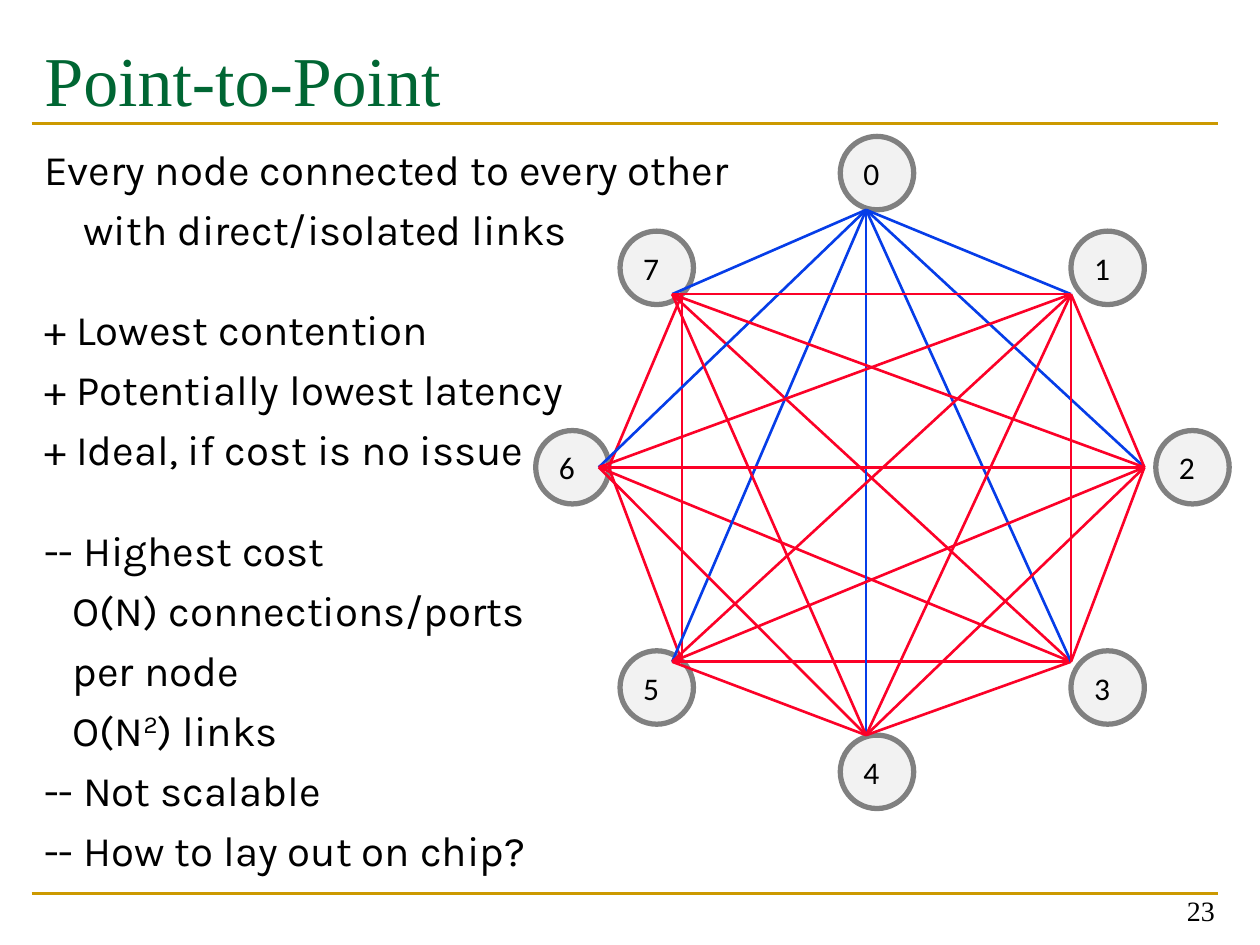
from lxml import etree
from pptx import Presentation
from pptx.dml.color import RGBColor
from pptx.enum import shapes, text
from pptx.oxml import ns
from pptx.util import Cm, Pt

GREEN = RGBColor(0x00, 0x66, 0x33)
GOLD = RGBColor(0xCC, 0x99, 0x00)
BLACK = RGBColor(0x00, 0x00, 0x00)
PALE = RGBColor(0xF2, 0xF2, 0xF2)
GRAY = RGBColor(0x80, 0x80, 0x80)
RED = RGBColor(0xFC, 0x01, 0x28)
BLUE = RGBColor(0x06, 0x3D, 0xE8)

TITLE = "Point-to-Point"
PAGE = "23"
NEAR, FAR = 5.5, 28.5
BODY = [
    (["Every node connected to every other"], 0, NEAR),
    (["with direct/isolated links"], 0.79, NEAR),
    (["+ Lowest contention"], 0, FAR),
    (["+ Potentially lowest latency"], 0, NEAR),
    (["+ Ideal, if cost is no issue"], 0, NEAR),
    (["-- Highest cost"], 0, FAR),
    (["O(N) connections/ports"], 0.58, NEAR),
    (["per node"], 0.58, NEAR),
    (["O(N", "2", ") links"], 0.58, NEAR),
    (["-- Not scalable"], 0, NEAR),
    (["-- How to lay out on chip?"], 0, NEAR),
]
RULES = [2.49, 18.01]
SIZE = 1.48
NODES = [(16.94, 2.75), (21.59, 4.66), (23.3, 8.68), (21.59, 13.12),
         (16.94, 14.82), (12.5, 13.12), (10.8, 8.68), (12.5, 4.66)]
ENDS = [(17.46, 4.23), (21.59, 5.93), (23.07, 9.42), (21.59, 13.34),
        (17.46, 14.82), (13.55, 13.34), (12.07, 9.42), (13.55, 5.93)]
SHIFT = 0.2
SIDE = [(5, 6), (5, 7), (6, 7)]
HUBS = {3: [5, 6, 7, 4], 0: [5, 1, 6, 7, 4, 3, 2],
        1: [5, 6, 4, 2, 7, 3], 2: [5, 6, 3, 7, 4], 4: [5, 6, 7]}


def style(para, font, size, color):
    for run in para.runs:
        run.font.name = font
        run.font.size = Pt(size)
        run.font.color.rgb = color


def line(slide, start, end, color):
    link = slide.shapes.add_connector(
        shapes.MSO_CONNECTOR.STRAIGHT, *map(Cm, start + end))
    link.line.color.rgb = color
    link.line.width = Pt(1.5)
    etree.SubElement(link.element.spPr, ns.qn("a:effectLst"))


def head(slide):
    title = slide.shapes.title
    title.left, title.top, title.width, title.height = map(
        Cm, (0.64, 0.43, 23.93, 2.06))
    frame = title.text_frame
    frame.text = TITLE
    frame.vertical_anchor = text.MSO_ANCHOR.TOP
    frame.margin_top = Cm(0.3)
    para = frame.paragraphs[0]
    para.alignment = text.PP_ALIGN.LEFT
    style(para, "Times New Roman", 40, GREEN)


def body(slide):
    box = slide.shapes.add_textbox(*map(Cm, (0.64, 2.77, 23.93, 14.43)))
    frame = box.text_frame
    frame.word_wrap = True
    for i, (parts, indent, gap) in enumerate(BODY):
        para = frame.add_paragraph() if i else frame.paragraphs[0]
        para.space_before = Pt(gap)
        para._p.get_or_add_pPr().set("marL", str(Cm(indent)))
        for part in parts:
            para.add_run().text = part
        style(para, "Karla", 24, BLACK)
        if len(parts) > 1:
            para.runs[1].font._element.set("baseline", "30000")


def foot(slide):
    box = slide.shapes.add_textbox(*map(Cm, (18.82, 17.55, 5.92, 1.27)))
    frame = box.text_frame
    frame.word_wrap = True
    frame.vertical_anchor = text.MSO_ANCHOR.BOTTOM
    frame.text = PAGE
    para = frame.paragraphs[0]
    para.alignment = text.PP_ALIGN.RIGHT
    style(para, "Times New Roman", 16, BLACK)


def node(slide, name, spot):
    disc = slide.shapes.add_shape(
        shapes.MSO_SHAPE.OVAL, *map(Cm, spot + (SIZE, SIZE)))
    disc.shadow.inherit = False
    disc.fill.solid()
    disc.fill.fore_color.rgb = PALE
    disc.line.color.rgb = GRAY
    disc.line.width = Pt(3)
    frame = disc.text_frame
    frame.word_wrap = False
    frame.vertical_anchor = text.MSO_ANCHOR.MIDDLE
    frame.text = name
    para = frame.paragraphs[0]
    para.alignment = text.PP_ALIGN.LEFT
    style(para, "Calibri", 18, BLACK)


def mesh(slide):
    for i, spot in enumerate(NODES):
        node(slide, str(i), spot)
    for pair in SIDE:
        start, end = [(ENDS[i][0] + SHIFT, ENDS[i][1]) for i in pair]
        line(slide, start, end, RED)
    for hub, peers in HUBS.items():
        for peer in peers:
            line(slide, ENDS[hub], ENDS[peer], RED if hub else BLUE)


def main():
    deck = Presentation()
    deck.slide_width, deck.slide_height = Cm(25.4), Cm(19.05)
    slide = deck.slides.add_slide(deck.slide_layouts[5])
    for y in RULES:
        line(slide, (0.64, y), (24.56, y), GOLD)
    head(slide)
    body(slide)
    foot(slide)
    mesh(slide)
    deck.save("out.pptx")


if __name__ == "__main__":
    main()
